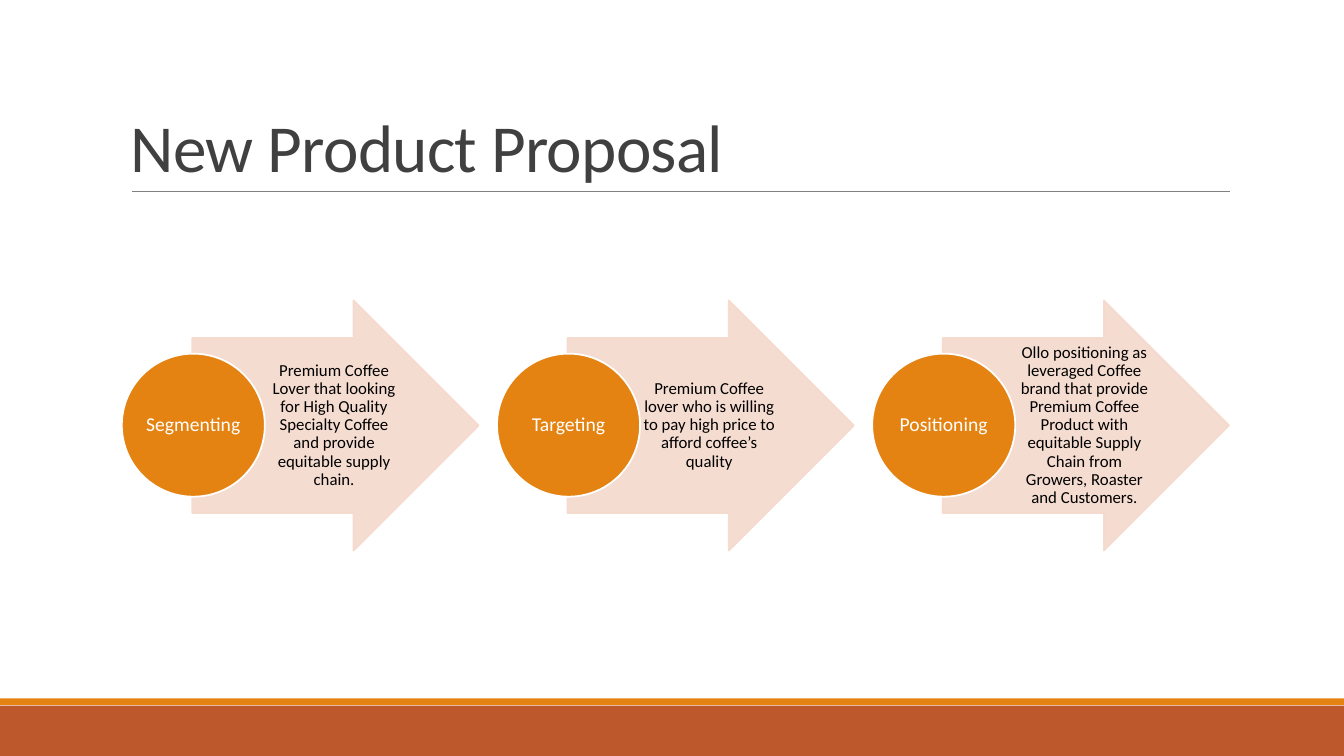
import pptx
import pptx.util
import pptx.dml.color
import pptx.enum.shapes
import pptx.enum.text
import pptx.oxml
import pptx.oxml.ns
import lxml.etree
from dataclasses import dataclass

Pt = pptx.util.Pt
Kind = pptx.enum.shapes.MSO_SHAPE
Align = pptx.enum.text.PP_ALIGN
Anchor = pptx.enum.text.MSO_ANCHOR


@dataclass(frozen=True)
class Theme:
    font: str = "Calibri"
    rust: str = "BD582C"
    orange: str = "E48312"
    blush: str = "F5D9CC"
    rule: str = "808080"
    dark: str = "404040"
    black: str = "000000"
    white: str = "FFFFFF"
    title: float = 48
    label: float = 14
    body: float = 12


class Deck:
    def __init__(self, slide, theme):
        self.slide = slide
        self.theme = theme

    def paint(self, fill, color):
        fill.solid()
        fill.fore_color.rgb = pptx.dml.color.RGBColor.from_string(color)

    def fade(self, item, alpha):
        # Fill and line colours both get the same opacity
        props = item._element.spPr
        for node in props.iter(pptx.oxml.ns.qn("a:srgbClr")):
            tag = pptx.oxml.ns.qn("a:alpha")
            lxml.etree.SubElement(node, tag).set("val", str(alpha * 1000))

    def shape(self, kind, box, fill, line=None):
        item = self.slide.shapes.add_shape(kind, *map(Pt, box))
        item.shadow.inherit = False
        self.paint(item.fill, fill)
        if line:
            item.line.width = Pt(1.25)
            self.paint(item.line.fill, line)
        else:
            item.line.fill.background()
        return item

    def rule(self, left, right, y):
        line = self.slide.shapes.add_connector(
            pptx.enum.shapes.MSO_CONNECTOR.STRAIGHT,
            Pt(left), Pt(y), Pt(right), Pt(y))
        line.line.width = Pt(0.5)
        self.paint(line.line.fill, self.theme.rule)
        tag = pptx.oxml.ns.qn("a:effectLst")
        lxml.etree.SubElement(line._element.spPr, tag)

    def letter(self, item, text, size, color, inset, anchor=Anchor.MIDDLE,
               align=Align.CENTER, lead=0.9, track=None):
        frame = item.text_frame
        frame.text = text
        frame.word_wrap = True
        frame.vertical_anchor = anchor
        frame.margin_left, frame.margin_top, frame.margin_right, \
            frame.margin_bottom = map(Pt, inset)
        para = frame.paragraphs[0]
        para.alignment = align
        para.line_spacing = lead
        for run in para.runs:
            run.font.name = self.theme.font
            run.font.size = Pt(size)
            self.paint(run.font.fill, color)
            if track:
                run.font._element.set("spc", str(track))

    def text(self, box, *args, **style):
        self.letter(self.slide.shapes.add_textbox(*map(Pt, box)),
                    *args, **style)

    def step(self, left, name, note):
        look = self.theme
        arrow = self.shape(Kind.RIGHT_ARROW, (left + 50.4, 214.6, 204.5, 178.6),
                           look.blush, look.blush)
        arrow.adjustments[0] = 0.7
        arrow.adjustments[1] = 0.5
        self.fade(arrow, 90)
        self.text((left + 101.5, 241.2, 99.4, 125.3), note, look.body,
                  look.black, (2.2, 0.7, 1.4, 0.7))
        disc = self.shape(Kind.OVAL, (left, 252.6, 102.2, 102.2),
                          look.orange, look.white)
        self.letter(disc, name, look.label, look.white, (0.7,) * 4)


STEPS = [
    ("Segmenting", "Premium Coffee Lover that looking for High Quality "
     "Specialty Coffee and provide equitable supply chain."),
    ("Targeting", "Premium Coffee lover who is willing to pay high price "
     "to afford coffee’s quality"),
    ("Positioning", "Ollo positioning as leveraged Coffee brand that provide "
     "Premium Coffee Product with equitable Supply Chain from Growers, "
     "Roaster and Customers."),
]


def main():
    show = pptx.Presentation()
    show.slide_width, show.slide_height = Pt(960), Pt(540)
    look = Theme()
    deck = Deck(show.slides.add_slide(show.slide_layouts[6]), look)

    # Footer bands
    deck.shape(Kind.RECTANGLE, (0, 504, 960, 36), look.rust)
    deck.shape(Kind.RECTANGLE, (0, 498.8, 960, 5), look.orange)

    # Title and its rule
    deck.rule(94.3, 878.8, 136.6)
    deck.text((86.4, 22.5, 792, 114.2), "New Product Proposal", look.title,
              look.dark, (7.2, 3.6, 7.2, 3.6), anchor=Anchor.BOTTOM,
              align=Align.LEFT, lead=0.85, track=-50)

    # Steps, left to right
    for i, (name, note) in enumerate(STEPS):
        deck.step(87 + 268 * i, name, note)

    show.save("out.pptx")


if __name__ == "__main__":
    main()
